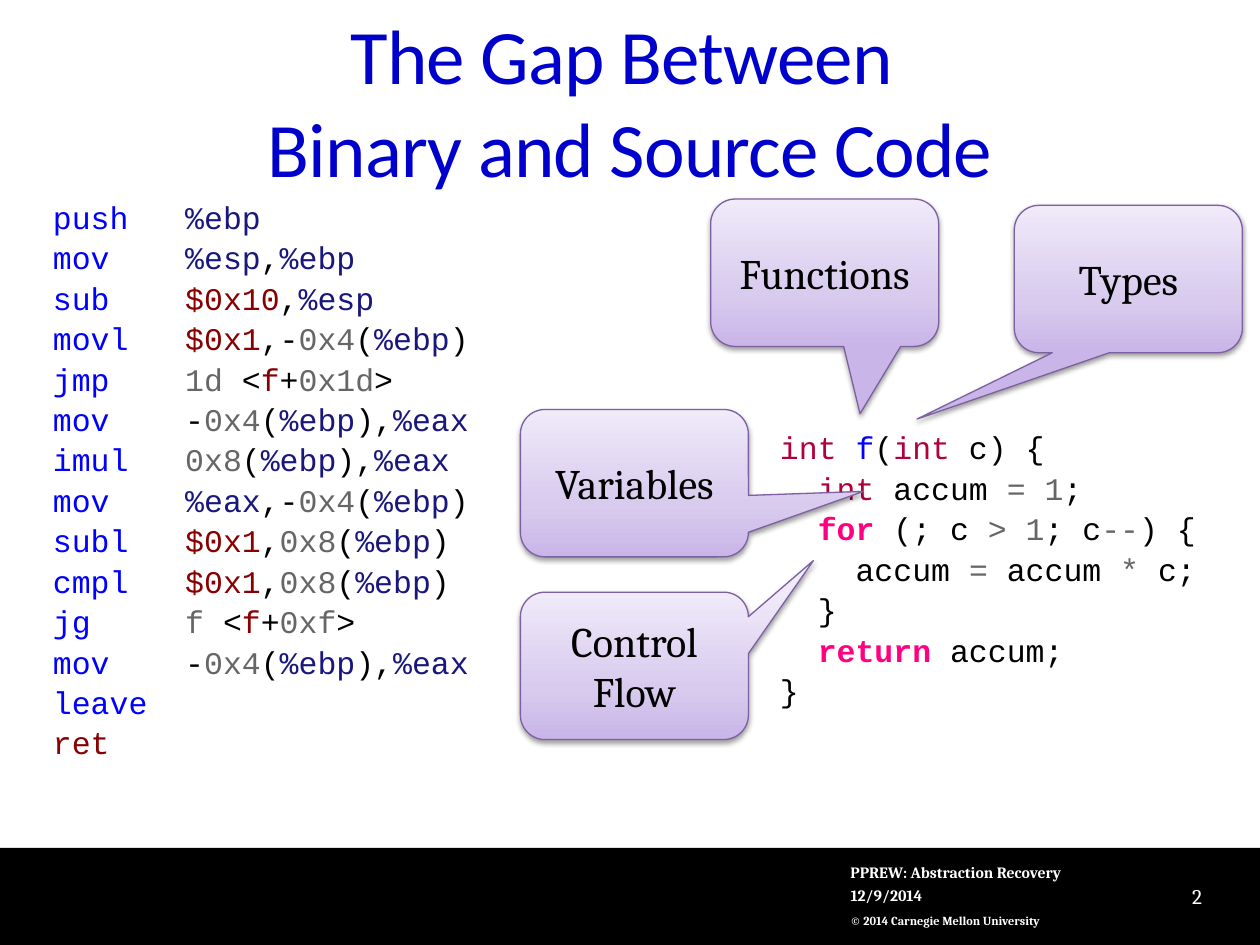
from copy import deepcopy
from dataclasses import dataclass

from lxml.etree import SubElement
from pptx import Presentation
from pptx.dml.color import RGBColor
from pptx.enum.shapes import MSO_SHAPE
from pptx.enum.text import MSO_ANCHOR, MSO_AUTO_SIZE, PP_ALIGN
from pptx.oxml.ns import qn
from pptx.slide import Slide
from pptx.text.text import TextFrame, _Paragraph
from pptx.util import Inches, Pt

CODE_COLORS = {
    "name": "0000FF",
    "register": "19177C",
    "constant": "880000",
    "number": "666666",
    "type": "B00040",
    "keyword": "FF0080",
    "plain": "000000",
}

ASSEMBLY = [
    "name:push   |register:%ebp",
    "name:mov    |register:%esp|plain:,|register:%ebp",
    "name:sub    |constant:$0x10|plain:,|register:%esp",
    "name:movl   |constant:$0x1|plain:,-|number:0x4|plain:(|register:%ebp|plain:)",
    "name:jmp    |number:1d|plain: <|constant:f|plain:+|number:0x1d|plain:>",
    "name:mov|plain:    -|number:0x4|plain:(|register:%ebp|plain:),|register:%eax",
    "name:imul   |number:0x8|plain:(|register:%ebp|plain:),|register:%eax",
    "name:mov    |register:%eax|plain:,-|number:0x4|plain:(|register:%ebp|plain:)",
    "name:subl   |constant:$0x1|plain:,|number:0x8|plain:(|register:%ebp|plain:)",
    "name:cmpl   |constant:$0x1|plain:,|number:0x8|plain:(|register:%ebp|plain:)",
    "name:jg     |number:f|plain: <|constant:f|plain:+|number:0xf|plain:>",
    "name:mov|plain:    -|number:0x4|plain:(|register:%ebp|plain:),|register:%eax",
    "name:leave",
    "constant:ret",
]

SOURCE = [
    "type:int |name:f|plain:(|type:int|plain: c) {",
    "plain:  |type:int |plain:accum |number:= 1|plain:;",
    "plain:  |keyword:for |plain:(; c |number:> 1|plain:; c|number:--|plain:) {",
    "plain:    accum |number:= |plain:accum |number:*|plain: c;",
    "plain:  }",
    "plain:  |keyword:return |plain:accum;",
    "plain:}",
]


@dataclass
class Callout:
    lines: list[str]
    left: float
    top: float
    tip_x: float
    tip_y: float


@dataclass
class Label:
    text: str
    left: float
    top: float
    width: float
    height: float
    size: float
    anchor: MSO_ANCHOR = MSO_ANCHOR.MIDDLE
    align: PP_ALIGN = PP_ALIGN.LEFT
    bold: bool = True
    right_inset: float = 0.1
    spacing: float = 1.0


CALLOUTS = [
    Callout(["Functions"], 5.64, 1.58, 0.155, 0.956),
    Callout(["Variables"], 4.13, 3.25, 1.005, 0.056),
    Callout(["Types"], 8.05, 1.63, -0.927, 0.95),
    Callout(["Control", "Flow"], 4.13, 4.7, 0.785, -0.714),
]

LABELS = [
    Label("© 2014 Carnegie Mellon University", 6.75, 7.15, 2.5, 0.26, 7,
          right_inset=0.05, spacing=1.5),
    Label("12/9/2014", 6.75, 6.98, 3.08, 0.25, 9, MSO_ANCHOR.BOTTOM),
    Label("PPREW: Abstraction Recovery", 6.75, 6.8, 1.96, 0.25, 9, MSO_ANCHOR.BOTTOM),
    Label("2", 9.08, 6.91, 0.56, 0.4, 12, align=PP_ALIGN.RIGHT, bold=False),
]


def color(value: str) -> RGBColor:
    return RGBColor.from_string(value)


def set_frame(frame: TextFrame, anchor: MSO_ANCHOR, left: float = 0,
              vertical: float = 0, right: float = 0) -> None:
    frame.word_wrap = True
    frame.auto_size = MSO_AUTO_SIZE.NONE
    frame.vertical_anchor = anchor
    frame.margin_left, frame.margin_right = Inches(left), Inches(right)
    frame.margin_top = frame.margin_bottom = Inches(vertical)


def add_run(paragraph: _Paragraph, text: str, font: str, size: float,
            fill: str, bold: bool = False):
    run = paragraph.add_run()
    run.text = text
    run.font.name, run.font.size, run.font.bold = font, Pt(size), bold
    run.font.color.rgb = color(fill)
    return run


def get_paragraph(frame: TextFrame, index: int) -> _Paragraph:
    return frame.add_paragraph() if index else frame.paragraphs[0]


def add_title(slide: Slide, lines: list[str]) -> None:
    title = slide.shapes.title
    title.left, title.top = Inches(0.5), Inches(0.17)
    title.width, title.height = Inches(9), Inches(1.25)
    set_frame(title.text_frame, MSO_ANCHOR.MIDDLE, vertical=0.05)
    paragraph = title.text_frame.paragraphs[0]
    paragraph.alignment = PP_ALIGN.CENTER
    for index, line in enumerate(lines):
        if index:
            paragraph.add_line_break()
        run = add_run(paragraph, line, "Calibri", 44, "0000CC")
        run.font._element.set("spc", "-50")


def add_code(slide: Slide, lines: list[str], left: float, top: float, height: float) -> None:
    box = slide.shapes.add_textbox(Inches(left), Inches(top), Inches(3.42), Inches(height))
    set_frame(box.text_frame, MSO_ANCHOR.TOP)
    for index, line in enumerate(lines):
        paragraph = get_paragraph(box.text_frame, index)
        paragraph.line_spacing = 1.07
        for token in line.split("|"):
            kind, text = token.split(":", 1)
            add_run(paragraph, text, "Courier New", 18, CODE_COLORS[kind], kind == "keyword")


def add_callout(slide: Slide, callout: Callout) -> None:
    shape = slide.shapes.add_shape(
        MSO_SHAPE.ROUNDED_RECTANGULAR_CALLOUT,
        Inches(callout.left), Inches(callout.top), Inches(1.81), Inches(1.17))
    for index, value in enumerate((callout.tip_x, callout.tip_y, 0.167)):
        shape.adjustments[index] = value
    shape.fill.gradient()
    shape.fill.gradient_angle = 90
    properties = shape._element.spPr
    stop_list = properties.find(qn("a:gradFill")).find(qn("a:gsLst"))
    stop_list.append(deepcopy(stop_list[-1]))
    stops = ((0, "C9B5E8"), (0.35, "D8CBEE"), (1, "F0EAF9"))
    for stop, (position, value) in zip(shape.fill.gradient_stops, stops):
        stop.position = position
        stop.color.rgb = color(value)
    shape.line.color.rgb = color("7D60A0")
    shape.line.width = Pt(0.75)
    shape.shadow.inherit = False
    shadow = SubElement(properties.find(qn("a:effectLst")), qn("a:outerShdw"),
                        blurRad=str(Pt(3.1)), dist=str(Pt(1.6)),
                        dir="5400000", rotWithShape="0")
    shade = SubElement(shadow, qn("a:srgbClr"), val="000000")
    SubElement(shade, qn("a:alpha"), val="38000")
    set_frame(shape.text_frame, MSO_ANCHOR.MIDDLE)
    for index, line in enumerate(callout.lines):
        paragraph = get_paragraph(shape.text_frame, index)
        paragraph.alignment = PP_ALIGN.CENTER
        add_run(paragraph, line, "Cambria", 24, "000000")


def add_label(slide: Slide, label: Label) -> None:
    box = slide.shapes.add_textbox(Inches(label.left), Inches(label.top),
                                   Inches(label.width), Inches(label.height))
    set_frame(box.text_frame, label.anchor, vertical=0.05, right=label.right_inset)
    paragraph = box.text_frame.paragraphs[0]
    paragraph.alignment = label.align
    paragraph.line_spacing = label.spacing
    add_run(paragraph, label.text, "Cambria", label.size, "FFFFFF", label.bold)


def add_footer_band(slide: Slide) -> None:
    band = slide.shapes.add_shape(MSO_SHAPE.RECTANGLE, 0, Inches(6.73), Inches(10), Inches(0.77))
    band.shadow.inherit = False
    band.fill.solid()
    band.fill.fore_color.rgb = color("000000")
    band.line.fill.background()


def main() -> None:
    presentation = Presentation()
    presentation.slide_width, presentation.slide_height = Inches(10), Inches(7.5)
    slide = presentation.slides.add_slide(presentation.slide_layouts[5])
    add_footer_band(slide)
    add_title(slide, ["The Gap Between ", "Binary and Source Code"])
    add_code(slide, ASSEMBLY, 0.42, 1.55, 4.54)
    add_code(slide, SOURCE, 6.19, 3.38, 2.25)
    for callout in CALLOUTS:
        add_callout(slide, callout)
    for label in LABELS:
        add_label(slide, label)
    presentation.save("out.pptx")


if __name__ == "__main__":
    main()
